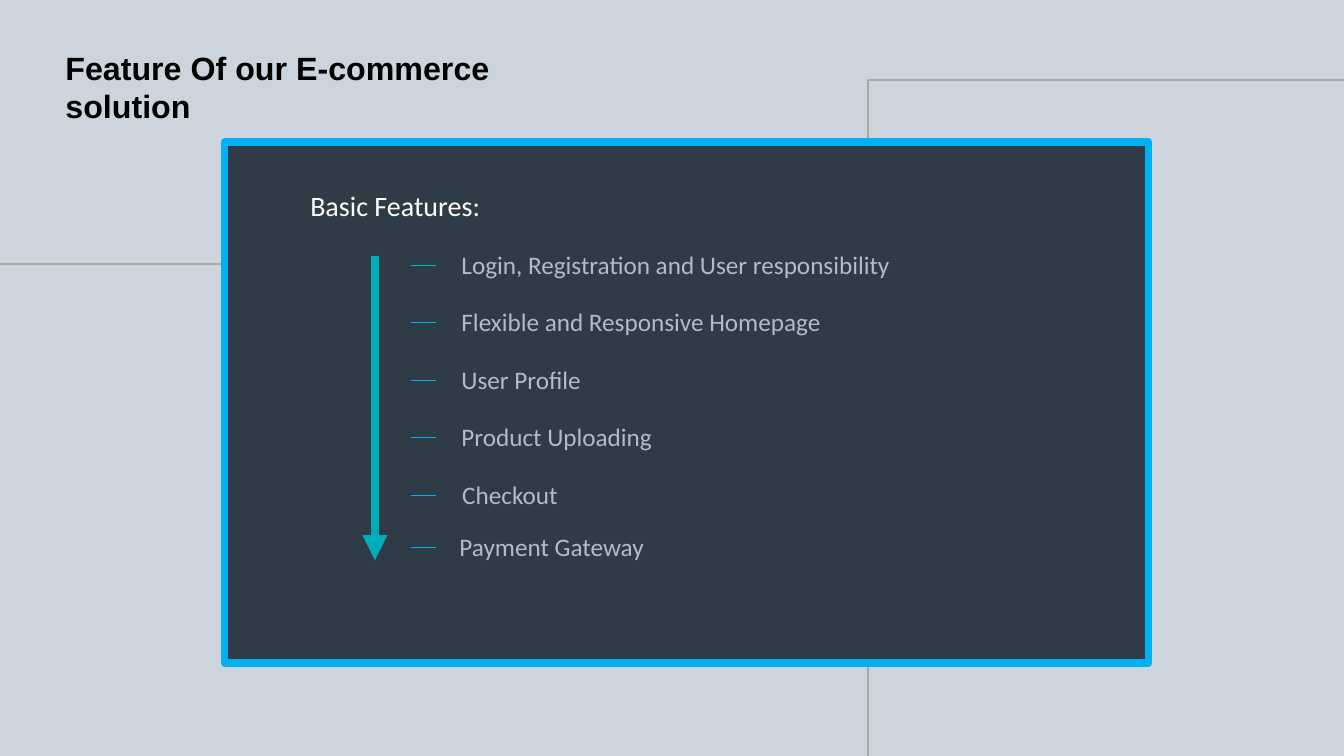
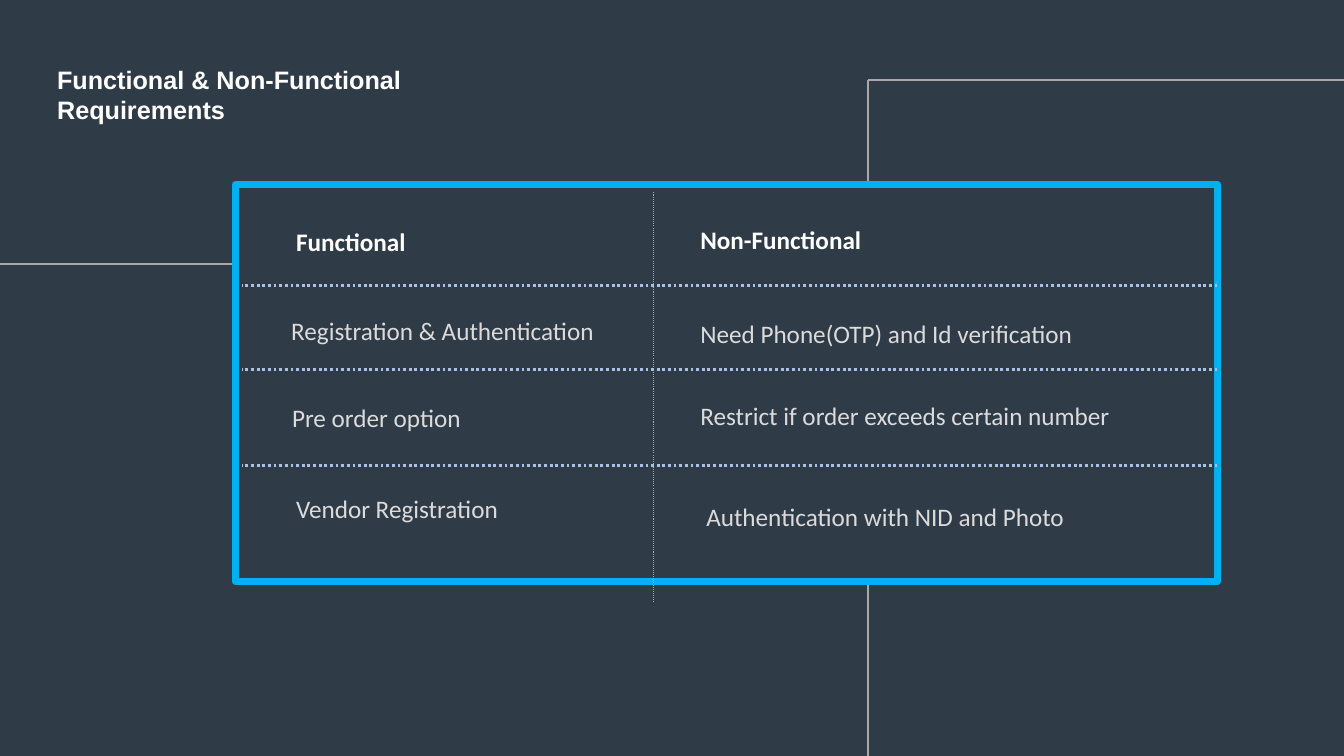
import pptx
import pptx.dml.color
import pptx.enum.dml
import pptx.enum.shapes
import pptx.oxml
import pptx.oxml.ns
import pptx.util

Cm, Pt = pptx.util.Cm, pptx.util.Pt
RGB = pptx.dml.color.RGBColor
DOT = pptx.enum.dml.MSO_LINE.ROUND_DOT

PALE = RGB(0xCC, 0xD5, 0xDE)
DARK = RGB(0x30, 0x3B, 0x48)
BLUE = RGB(0x00, 0xB0, 0xF0)
TEAL = RGB(0x00, 0xAC, 0xBA)
GREY = RGB(0xA8, 0xA8, 0xA8)
RULE = RGB(0xAB, 0xC0, 0xE4)
ITEM = RGB(0xB3, 0xBC, 0xC6)
CELL = RGB(0xDB, 0xDB, 0xDB)
WHITE = RGB(0xFF, 0xFF, 0xFF)
BLACK = RGB(0x00, 0x00, 0x00)

WIDE, HIGH = 33.87, 19.05
NO_GRID = "{2D5ABB26-0587-4C30-8999-92F81FD0307C}"


def write(frame, text, color, size=18, name="Calibri", bold=False):
    """Put one styled run in a text frame and return its paragraph."""
    par = frame.paragraphs[0]
    run = par.add_run()
    run.text = text
    style = {"size": Pt(size), "name": name, "bold": bold}
    for key, value in style.items():
        setattr(run.font, key, value)
    run.font.color.rgb = color
    return par


def draw(slide, x1, y1, x2, y2, color, width, dash=None):
    """Draw a straight line without a shadow, in centimetres."""
    line = slide.shapes.add_connector(
        pptx.enum.shapes.MSO_CONNECTOR.STRAIGHT, Cm(x1), Cm(y1), Cm(x2), Cm(y2))
    line.line.color.rgb = color
    line.line.width = Pt(width)
    line.line.dash_style = dash
    line._element.spPr.append(pptx.oxml.parse_xml(
        "<a:effectLst %s/>" % pptx.oxml.ns.nsdecls("a")))
    return line


deck = pptx.Presentation()
deck.slide_width, deck.slide_height = Cm(WIDE), Cm(HIGH)

# Shared look: background, lines, frame and title
pages = [
    {"back": PALE, "frame": (5.66, 3.58, 23.29, 13.13), "ink": BLACK, "size": 23,
     "title": "Feature Of our E-commerce solution", "box": (1.4, 1.09, 13.97, 2.24)},
    {"back": DARK, "frame": (5.94, 4.65, 24.74, 10.01), "ink": WHITE, "size": 18,
     "title": "Functional & Non-Functional Requirements", "box": (1.19, 1.5, 13.11, 1.8)},
]
for page in pages:
    slide = deck.slides.add_slide(deck.slide_layouts[6])
    slide.background.fill.solid()
    slide.background.fill.fore_color.rgb = page["back"]
    draw(slide, 21.87, 2.01, 21.87, HIGH, GREY, 1.25)
    draw(slide, 21.87, 2.01, WIDE, 2.01, GREY, 1.5)
    draw(slide, 0, 6.65, page["frame"][0], 6.65, GREY, 1.5)

    frame = slide.shapes.add_shape(
        pptx.enum.shapes.MSO_SHAPE.RECTANGLE, *map(Cm, page["frame"]))
    frame.shadow.inherit = False
    frame.fill.solid()
    frame.fill.fore_color.rgb = DARK
    frame.line.color.rgb = BLUE
    frame.line.width = Pt(5.25)

    title = slide.shapes.add_textbox(*map(Cm, page["box"])).text_frame
    title.word_wrap = True
    write(title, page["title"], page["ink"], page["size"], "Arial", True)

# Feature list
slide = deck.slides[0]
head = slide.shapes.add_textbox(Cm(7.57), Cm(4.19), Cm(14.63), Cm(1.5)).text_frame
head.word_wrap = True
write(head, "Basic Features:", WHITE, 20).line_spacing = 1.5

items = [
    ("Login, Registration and User responsibility", 11.38, 6.15),
    ("Flexible and Responsive Homepage", 11.38, 7.6),
    ("User Profile", 11.38, 9.05),
    ("Product Uploading", 11.38, 10.5),
    ("Checkout", 11.4, 11.95),
    ("Payment Gateway", 11.33, 13.26),
]
for text, left, top in items:
    box = slide.shapes.add_textbox(Cm(left), Cm(top), Cm(12), Cm(1.02))
    box.text_frame.word_wrap = True
    write(box.text_frame, text, ITEM)
    draw(slide, 10.36, top + 0.53, 11, top + 0.53, BLUE, 0.5)

arrow = draw(slide, 9.45, 6.45, 9.45, 14.12, TEAL, 6)
arrow.line._get_or_add_ln().append(pptx.oxml.parse_xml(
    '<a:tailEnd %s type="triangle"/>' % pptx.oxml.ns.nsdecls("a")))

# Requirements table: each cell holds its text, left margin and top margin
slide = deck.slides[1]
cols = [5.94, 16.48, 30.68]
tops = [4.65, 7.19, 9.32, 11.73, 14.66]
rows = [
    [("Functional", 1.52, 1.07), ("Non-Functional", 1.17, 1.04)],
    [("Registration & Authentication", 1.4, 0.79),
     ("Need Phone(OTP) and Id verification", 1.17, 0.86)],
    [("Pre order option", 1.42, 0.84),
     ("Restrict if order exceeds certain number", 1.17, 0.79)],
    [("Vendor Registration", 1.52, 0.74),
     ("Authentication with NID and Photo", 1.32, 0.94)],
]
table = slide.shapes.add_table(
    len(rows), 2, Cm(cols[0]), Cm(tops[0]),
    Cm(cols[-1] - cols[0]), Cm(tops[-1] - tops[0])).table
table.first_row = table.horz_banding = False
table._tbl.tblPr.find(pptx.oxml.ns.qn("a:tableStyleId")).text = NO_GRID
for c in range(2):
    table.columns[c].width = Cm(cols[c + 1] - cols[c])
for r, row in enumerate(rows):
    table.rows[r].height = Cm(tops[r + 1] - tops[r])
    for c, (text, left, top) in enumerate(row):
        cell = table.cell(r, c)
        cell.fill.background()
        cell.margin_left, cell.margin_top = Cm(left), Cm(top)
        write(cell.text_frame, text, CELL if r else WHITE, bold=r == 0)

draw(slide, cols[1], 4.85, cols[1], 15.16, GREY, 0.75, DOT)
for top in tops[1:-1]:
    draw(slide, cols[-1], top, 6.1, top, RULE, 0, DOT)

deck.save("out.pptx")
